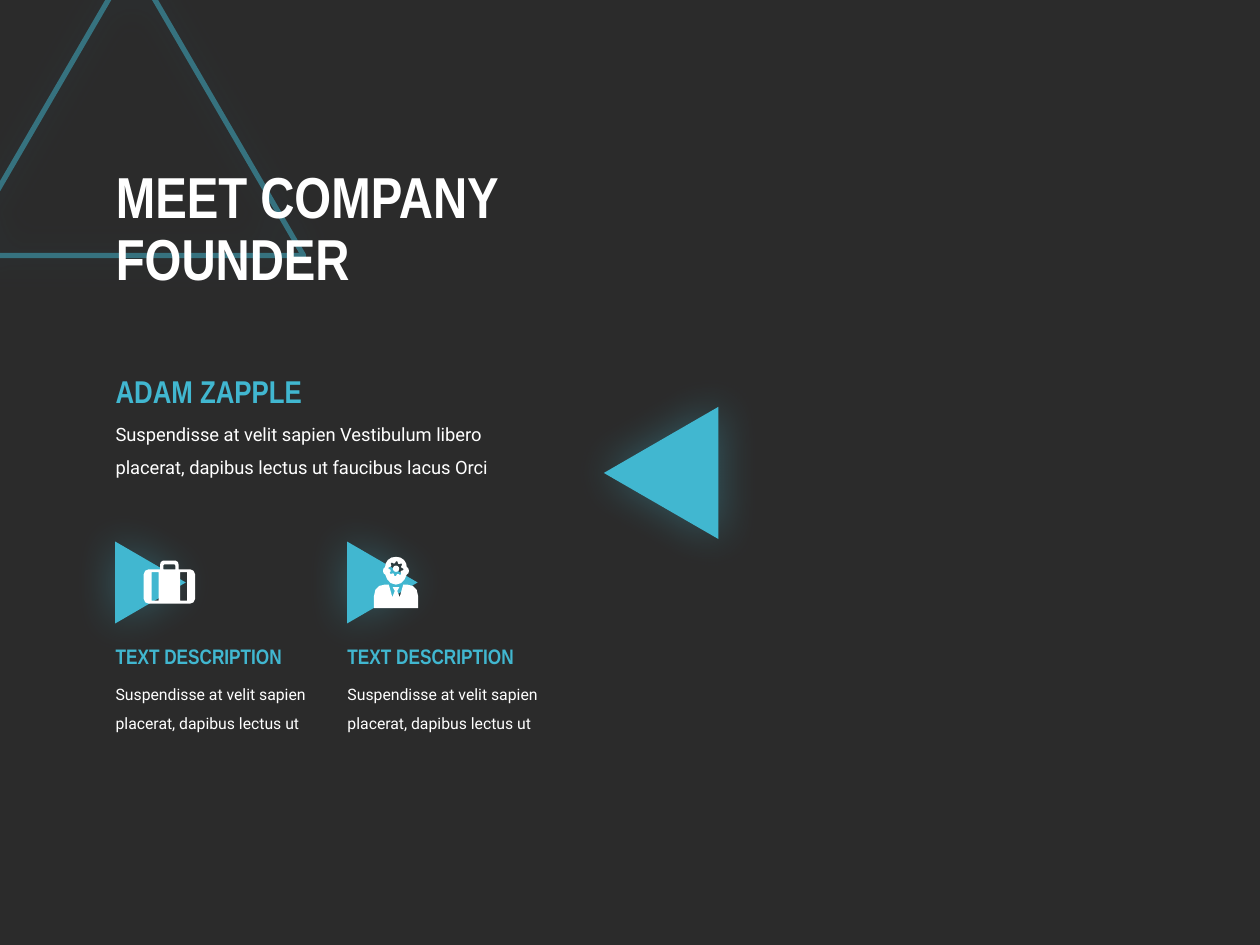
"""Build the company founder slide."""
from math import cos, pi, sin

from lxml.etree import SubElement
from pptx import Presentation
from pptx.dml.color import RGBColor
from pptx.enum.shapes import MSO_SHAPE
from pptx.enum.text import MSO_ANCHOR, MSO_AUTO_SIZE, PP_ALIGN
from pptx.oxml.ns import qn
from pptx.util import Pt

DARK, TEAL, WHITE = "2B2B2B", "41B7D0", "FFFFFF"
rgb = RGBColor.from_string


def mirror(cx, half):
    """Return a closed outline from its right half, given as offsets from cx."""
    return [(cx + dx, y) for dx, y in half] + [(cx - dx, y) for dx, y in reversed(half)]


def add_outline(contours):
    """Add one white shape; inner contours become holes."""
    first, *rest = [[(x * 100, y * 100) for x, y in c] for c in contours]
    fb = s.shapes.build_freeform(*first[0], scale=Pt(0.01))
    fb.add_line_segments(first[1:])
    for c in rest:
        fb.move_to(*c[0])
        fb.add_line_segments(c[1:])
    sp = fb.convert_to_shape()
    sp.shadow.inherit = False
    sp.fill.solid()
    sp.fill.fore_color.rgb = rgb(WHITE)
    sp.line.fill.background()


prs = Presentation()
prs.slide_width, prs.slide_height = Pt(720), Pt(540)
s = prs.slides.add_slide(prs.slide_layouts[5])
s.background.fill.solid()
s.background.fill.fore_color.rgb = rgb(DARK)

title = s.shapes.title
title.left, title.top, title.width, title.height = Pt(59), Pt(75), Pt(304), Pt(113.5)
tf = title.text_frame
tf.word_wrap = True
tf.auto_size = MSO_AUTO_SIZE.NONE
tf.vertical_anchor = MSO_ANCHOR.MIDDLE
tf.text = "MEET COMPANY\vFOUNDER"
p = tf.paragraphs[0]
p.alignment = PP_ALIGN.LEFT
p.line_spacing = 0.9
p.font.name, p.font.size, p.font.bold = "Arial Narrow", Pt(33), True
p.font.color.rgb = rgb(WHITE)

triangles = [
    (-23, -23, 196.5, 169, 0, False),
    (340, 237.5, 75.6, 65.5, 270, True),
    (62.6, 312.7, 46.8, 40.3, 90, True),
    (195.1, 312.7, 46.8, 40.3, 90, True),
]
for x, y, w, h, rotation, filled in triangles:
    sp = s.shapes.add_shape(MSO_SHAPE.ISOSCELES_TRIANGLE, Pt(x), Pt(y), Pt(w), Pt(h))
    sp.rotation = rotation
    sp.shadow.inherit = False
    if filled:
        sp.fill.solid()
        sp.fill.fore_color.rgb = rgb(TEAL)
        sp.line.fill.background()
    else:
        sp.fill.background()
        sp.line.color.rgb = rgb(TEAL)
        sp.line.width = Pt(3)
        line_color = sp._element.spPr.find(".//" + qn("a:ln") + "//" + qn("a:srgbClr"))
        SubElement(line_color, qn("a:alpha"), val="50000")
        title._element.addprevious(sp._element)
    effects = sp._element.spPr.find(qn("a:effectLst"))
    glow = SubElement(effects, qn("a:outerShdw"), blurRad=str(Pt(25)), dist="0", dir="0",
                      algn="ctr", rotWithShape="0")
    color = SubElement(glow, qn("a:srgbClr"), val=TEAL)
    SubElement(color, qn("a:alpha"), val="35000")

texts = [
    (59, 232, 243.5, 43, 10.5, False,
     "Suspendisse at velit sapien Vestibulum libero placerat, dapibus lectus ut faucibus lacus Orci"),
    (59, 209, 132.5, 29, 18, True, "ADAM ZAPPLE"),
]
for x in (59, 191.5):
    texts += [
        (x, 382.5, 125.3, 38, 9, False, "Suspendisse at velit sapien placerat, dapibus lectus ut"),
        (x, 364, 119.5, 21.8, 12, True, "TEXT DESCRIPTION"),
    ]
for x, y, w, h, size, heading, text in texts:
    tf = s.shapes.add_textbox(Pt(x), Pt(y), Pt(w), Pt(h)).text_frame
    tf.word_wrap = True
    tf.auto_size = MSO_AUTO_SIZE.SHAPE_TO_FIT_TEXT
    tf.text = text
    p = tf.paragraphs[0]
    p.line_spacing = 1.0 if heading else 1.5
    p.font.name = "Arial Narrow" if heading else "Roboto"
    p.font.size, p.font.bold = Pt(size), heading
    p.font.color.rgb = rgb(TEAL if heading else WHITE)

case_x = 96.8
case = [(0, 320.4), (3.6, 320.4), (4.9, 321.2), (5.3, 322.8), (5.3, 325.4), (12, 325.4),
        (13.8, 326.2), (14.7, 328.2), (14.7, 342.2), (13.8, 344.2), (12, 344.9), (0, 344.9)]
handle = [(0, 322.5), (2.9, 322.5), (3.5, 323.2), (3.5, 325.4), (0, 325.4)]
straps = [[(x, 327), (x + 4, 327), (x + 4, 343.3), (x, 343.3)]
          for x in (case_x - 10.1, case_x + 6.1)]
add_outline([mirror(case_x, case), mirror(case_x, handle), *straps])

man_x, gear_y = 226.3, 325
body = [(0, 335.5), (1.9, 335.5), (0.7, 337.7), (2.1, 341.3), (4.1, 334.1), (6.5, 334.1),
        (9.5, 334.8), (11.8, 337), (12.6, 340.6), (12.6, 347.5), (0, 347.5)]
head = [(0, 318.2), (2.5, 318.6), (4.6, 320), (5.8, 321.9), (6.2, 324), (7.1, 324.9),
        (7.4, 326.2), (7.1, 327.6), (6.1, 328.4), (5, 331), (3, 333.2), (0, 334.1)]
gear = []
for i in range(32):
    radius = 4.3 if i % 4 < 2 else 3.2
    angle = i * pi / 16
    gear.append((man_x + radius * cos(angle), gear_y + radius * sin(angle)))
add_outline([mirror(man_x, body)])
add_outline([mirror(man_x, head), gear])

hub = s.shapes.add_shape(MSO_SHAPE.OVAL, Pt(man_x - 1.8), Pt(gear_y - 1.8), Pt(3.6), Pt(3.6))
hub.shadow.inherit = False
hub.fill.solid()
hub.fill.fore_color.rgb = rgb(WHITE)
hub.line.fill.background()

prs.save("out.pptx")
